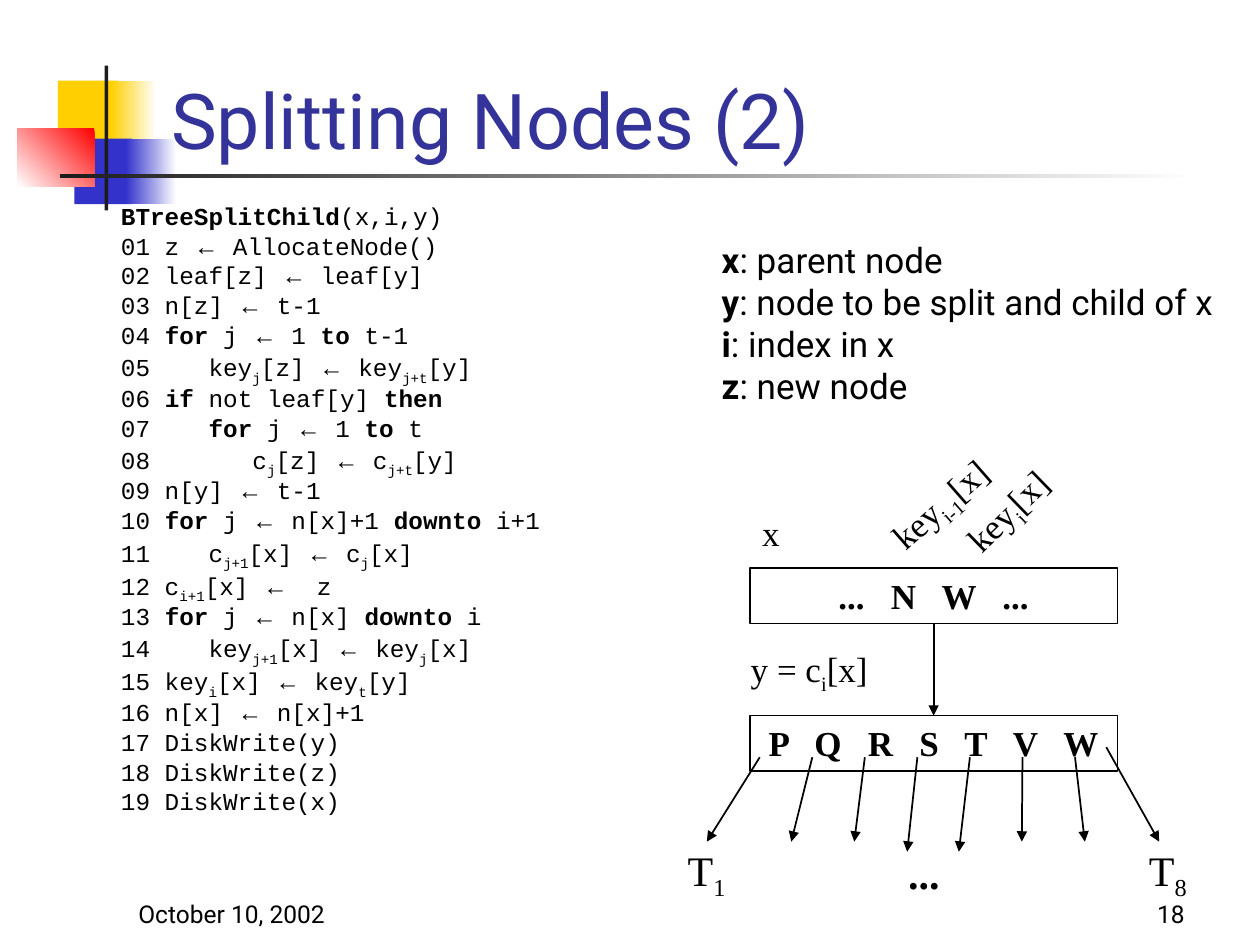
from pptx import Presentation
from pptx.dml.color import RGBColor
from pptx.enum.shapes import MSO_CONNECTOR as Connector, MSO_SHAPE as Shape
from pptx.enum.text import MSO_ANCHOR as Anchor, PP_ALIGN as Align
from pptx.oxml.ns import qn
from pptx.util import Inches, Pt
from lxml.etree import SubElement

BLACK = RGBColor(0x00, 0x00, 0x00)
WHITE = RGBColor(0xFF, 0xFF, 0xFF)
YELLOW = RGBColor(0xFF, 0xCF, 0x01)
BLUE = RGBColor(0x33, 0x33, 0xCC)
RED = RGBColor(0xFF, 0x00, 0x00)
CHARCOAL = RGBColor(0x1C, 0x1C, 0x1C)
TITLE_BLUE = RGBColor(0x33, 0x33, 0x99)
SANS, SERIF, MONO, ARROW_FONT = "Roboto", "Times New Roman", "Courier New", "Arial"

CODE = """*BTreeSplitChild*(x,i,y)
01\u00a0z ← AllocateNode()
02 leaf[z] ← leaf[y]
03 n[z] ← t-1
04 *for* j ← 1 *to* t-1
05    key_j_[z] ← key_j+t_[y]
06 *if* not leaf[y] *then*
07    *for* j ← 1 *to* t
08       c_j_[z] ← c_j+t_[y]
09 n[y] ← t-1
10 *for* j ← n[x]+1 *downto* i+1
11    c_j+1_[x] ← c_j_[x]
12 c_i+1_[x] ←  z
13 *for* j ← n[x] *downto* i
14    key_j+1_[x] ← key_j_[x]
15 key_i_[x] ← key_t_[y]
16 n[x] ← n[x]+1
17 DiskWrite(y)
18 DiskWrite(z)
19 DiskWrite(x)""".splitlines()
LEGEND = """*x*: parent node
*y*: node to be split and child of x
*i*: index in x
*z*: new node"""


def set_values(target, values):
    """Set each named attribute of the target."""
    for name, value in values.items():
        setattr(target, name, value)


def place(shape, box):
    """Move a shape to a box of left, top, width and height in inches."""
    names = ("left", "top", "width", "height")
    set_values(shape, dict(zip(names, map(Inches, box))))


def add_span(para, text, font, size, color=BLACK, bold=False, sub=False):
    """Add one formatted run."""
    span = para.add_run()
    span.text = text
    set_values(span.font, {"name": font, "size": Pt(size), "bold": bold})
    span.font.color.rgb = color
    if sub:
        span.font._element.set("baseline", "-25000")


def write(para, markup, font, size, color=BLACK):
    """Write text in which *stars* mark bold and _underscores_ mark subscripts."""
    for row, line in enumerate(markup.split("\n")):
        if row:
            para.add_line_break()
        for b, bold_part in enumerate(line.split("*")):
            for s, part in enumerate(bold_part.split("_")):
                for a, text in enumerate(part.split("←")):
                    if a:
                        add_span(para, "←", ARROW_FONT, size, color)
                    if text:
                        add_span(para, text, font, size, color, b % 2 == 1, s % 2 == 1)


def add_label(page, box, markup, size=20, font=SERIF, before=12.5, turn=0,
              align=Align.LEFT, anchor=Anchor.TOP):
    """Add a text box holding one paragraph."""
    label = page.shapes.add_textbox(0, 0, 0, 0)
    place(label, box)
    label.rotation = turn
    set_values(label.text_frame, {"word_wrap": True, "vertical_anchor": anchor})
    para = label.text_frame.paragraphs[0]
    set_values(para, {"alignment": align, "space_before": Pt(before)})
    write(para, markup, font, size)


def add_block(page, box, color, fade=None, angle=180):
    """Add a borderless rectangle, solid or fading from one colour to another."""
    block = page.shapes.add_shape(Shape.RECTANGLE, 0, 0, 0, 0)
    place(block, box)
    block.shadow.inherit = False
    block.line.fill.background()
    if fade is None:
        block.fill.solid()
        block.fill.fore_color.rgb = color
        return
    block.fill.gradient()
    block.fill.gradient_angle = angle
    for stop, position, shade in zip(block.fill.gradient_stops, (0, 1), (fade, color)):
        stop.position = position
        stop.color.rgb = shade


def add_ornament(page, left, top):
    """Draw the coloured squares and the two rules."""
    blocks = [
        (0.32, 0.12, 0.48, 0.52, YELLOW),
        (0.74, 0.12, 0.36, 0.52, YELLOW, WHITE),
        (0.45, 0.58, 0.46, 0.52, BLUE),
        (0.86, 0.58, 0.4, 0.52, BLUE, WHITE),
        (0, 0.5, 0.61, 0.46, WHITE, RED, 225),
        (0.69, 0, 0.03, 1.15, CHARCOAL),
        (0.34, 0.86, 9, 0.03, CHARCOAL, WHITE),
    ]
    for x, y, width, height, *colors in blocks:
        add_block(page, (left + x, top + y, width, height), *colors)


def bring_forward(shape):
    """Move a shape in front of all others."""
    shape._element.getparent().append(shape._element)


def add_title(page, box):
    """Fill the title placeholder."""
    title = page.shapes.title
    place(title, box)
    bring_forward(title)
    set_values(title.text_frame, {"word_wrap": True, "vertical_anchor": Anchor.BOTTOM})
    para = title.text_frame.paragraphs[0]
    para.alignment = Align.LEFT
    write(para, "Splitting Nodes (2)", SANS, 44, TITLE_BLUE)


def add_code(page, box):
    """Fill the body placeholder with the pseudocode."""
    body = page.placeholders[1]
    place(body, box)
    bring_forward(body)
    frame = body.text_frame
    frame.word_wrap = True
    for row, line in enumerate(CODE):
        para = frame.add_paragraph() if row else frame.paragraphs[0]
        set_values(para, {"alignment": Align.JUSTIFY, "line_spacing": 0.8,
                          "space_before": Pt(3.7)})
        props = para._element.get_or_add_pPr()
        props.set("marL", str(Inches(0.38)))
        props.set("indent", str(-Inches(0.38)))
        SubElement(props, qn("a:buNone"))
        write(para, line, MONO, 13.9)


def add_arrow(page, start, end):
    """Draw a thin black arrow between two points."""
    arrow = page.shapes.add_connector(Connector.STRAIGHT, *map(Inches, start + end))
    arrow.line.width = Pt(1)
    arrow.line.color.rgb = BLACK
    SubElement(arrow.line._get_or_add_ln(), qn("a:tailEnd"), type="triangle")
    SubElement(arrow._element.spPr, qn("a:effectLst"))


def add_node(page, box, keys):
    """Draw a tree node with its keys."""
    node = page.shapes.add_shape(Shape.RECTANGLE, 0, 0, 0, 0)
    place(node, box)
    node.shadow.inherit = False
    node.fill.background()
    node.line.color.rgb = BLACK
    node.line.width = Pt(1)
    node.text_frame.vertical_anchor = Anchor.TOP
    para = node.text_frame.paragraphs[0]
    set_values(para, {"alignment": Align.CENTER, "space_before": Pt(12.5)})
    write(para, f"*{keys}*", SERIF, 20)


def add_tree(page, left, top):
    """Draw the parent node, the full child and its subtrees."""
    width, height, drop = 2.92, 0.44, 1.17
    middle, child = left + width / 2, top + drop
    add_node(page, (left, child, width, height), "P   Q   R   S   T   V   W")
    tips = [(-0.34, 1), (0.33, 1), (0.83, 1), (1.25, 1.08),
            (1.66, 1.08), (2.16, 1), (2.66, 1), (3.25, 1)]
    for index, (x, y) in enumerate(tips):
        last = index == len(tips) - 1
        start = (left + (2.83 if last else 0.08 + 0.417 * index),
                 child + (0.25 if last else 0.33))
        add_arrow(page, start, (left + x, child + y))
    for x, name in ((-0.59, "T_1_"), (3.07, "T_8_")):
        add_label(page, (left + x, child + 0.97, 0.58, 0.56), name, 24, before=15)
    add_label(page, (left + 1.16, child + 1, 0.58, 0.5), "*...*", 24, before=15)
    add_node(page, (left, top, width, height), "...   N   W   ...")
    add_arrow(page, (middle, top + height), (middle, child))
    add_label(page, (left - 0.09, top + 0.58, 1.42, 0.48), "y = c_i_[x]")
    add_label(page, (left + 0.93, top - 0.84, 1.42, 0.48), "key_i-1_[x]", turn=318.7)
    add_label(page, (left + 1.51, top - 0.84, 1.42, 0.48), "key_i_[x]", turn=315.8)
    add_label(page, (left, top - 0.5, 0.58, 0.44), "x")


def add_footer(page, top):
    """Add the page number and the date."""
    for left, text, align in ((7.42, "18", Align.RIGHT), (1, "October 10, 2002", Align.LEFT)):
        add_label(page, (left, top, 2.08, 0.5), text, 14, SANS, 0,
                  align=align, anchor=Anchor.BOTTOM)


def main():
    """Build and save the deck."""
    deck = Presentation()
    set_values(deck, {"slide_width": Inches(10), "slide_height": Inches(7.5)})
    page = deck.slides.add_slide(deck.slide_layouts[1])
    add_ornament(page, 0.14, 0.52)
    add_title(page, (1.26, 0.11, 8.52, 1.25))
    add_code(page, (0.86, 1.59, 9.14, 4.91))
    add_label(page, (5.63, 1.84, 4.2, 1.77), LEGEND, font=SANS)
    add_tree(page, 5.95, 4.51)
    add_footer(page, 6.92)
    deck.save("out.pptx")


if __name__ == "__main__":
    main()
